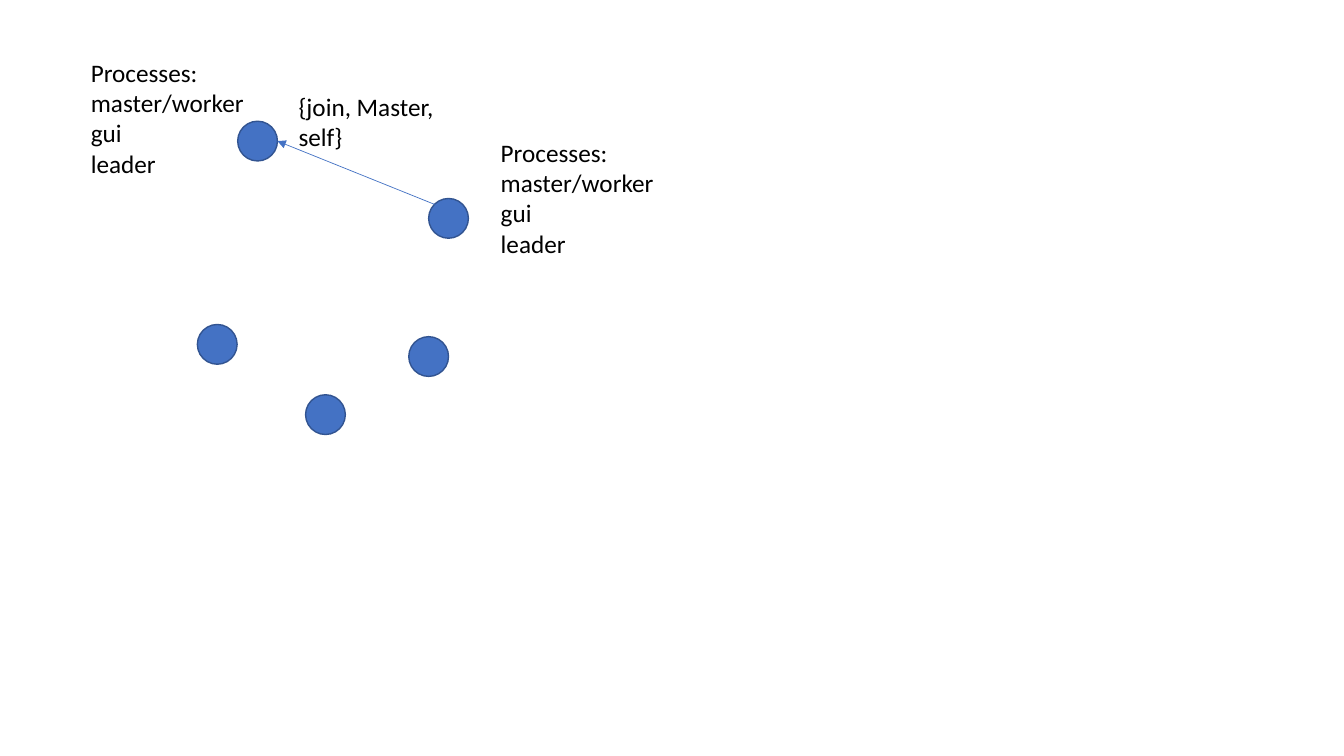
from dataclasses import dataclass
from math import sqrt

from lxml.etree import SubElement
from pptx import Presentation
from pptx.dml.color import RGBColor
from pptx.enum.shapes import MSO_CONNECTOR, MSO_SHAPE
from pptx.enum.text import MSO_AUTO_SIZE
from pptx.oxml.ns import qn
from pptx.slide import Slide
from pptx.util import Pt


@dataclass(frozen=True)
class Theme:
    fill: RGBColor = RGBColor(0x44, 0x72, 0xC4)
    outline: RGBColor = RGBColor(0x32, 0x54, 0x91)
    text: RGBColor = RGBColor(0, 0, 0)
    font: str = "Calibri"
    size: float = 18
    node_line: float = 1
    arrow_line: float = 0.5


@dataclass(frozen=True)
class Node:
    left: float
    top: float
    size: float = 28.4

    @property
    def right_site(self) -> tuple[float, float]:
        return self.left + self.size, self.top + self.size / 2

    @property
    def top_left_site(self) -> tuple[float, float]:
        inset = self.size / 2 * (1 - 1 / sqrt(2))
        return self.left + inset, self.top + inset


@dataclass(frozen=True)
class Label:
    left: float
    top: float
    height: float
    lines: tuple[str, ...]
    width: float = 128.9


THEME = Theme()
MASTER = Node(169.8, 86.6)
JOINER = Node(306.2, 141.8)
NODES = (MASTER, Node(141, 231.8), Node(218.3, 282), Node(292, 240.5), JOINER)
PROCESSES = ("Processes:", "master/worker", "gui", "leader")
LABELS = (
    Label(57.8, 37.3, 94.5, PROCESSES),
    Label(350.6, 94.5, 94.5, PROCESSES),
    Label(206.2, 61.4, 50.9, ("{join, Master, self}",)),
)


def add_node(s: Slide, node: Node) -> None:
    sp = s.shapes.add_shape(
        MSO_SHAPE.FLOWCHART_CONNECTOR,
        Pt(node.left), Pt(node.top), Pt(node.size), Pt(node.size),
    )
    sp.shadow.inherit = False
    sp.fill.solid()
    sp.fill.fore_color.rgb = THEME.fill
    sp.line.color.rgb = THEME.outline
    sp.line.width = Pt(THEME.node_line)


def add_arrow(s: Slide, start: Node, end: Node) -> None:
    points = (Pt(v) for v in start.top_left_site + end.right_site)
    sp = s.shapes.add_connector(MSO_CONNECTOR.STRAIGHT, *points)
    sp.line.color.rgb = THEME.fill
    sp.line.width = Pt(THEME.arrow_line)
    SubElement(sp.line._get_or_add_ln(), qn("a:tailEnd"), type="triangle")
    SubElement(sp._element.spPr, qn("a:effectLst"))


def add_label(s: Slide, label: Label) -> None:
    sp = s.shapes.add_textbox(
        Pt(label.left), Pt(label.top), Pt(label.width), Pt(label.height)
    )
    tf = sp.text_frame
    for name, value in {
        "word_wrap": True,
        "auto_size": MSO_AUTO_SIZE.SHAPE_TO_FIT_TEXT,
        "text": "\n".join(label.lines),
    }.items():
        setattr(tf, name, value)
    for p in tf.paragraphs:
        for r in p.runs:
            for name, value in {"name": THEME.font, "size": Pt(THEME.size)}.items():
                setattr(r.font, name, value)
            r.font.color.rgb = THEME.text


def main() -> None:
    prs = Presentation()
    prs.slide_width, prs.slide_height = Pt(960), Pt(540)
    s = prs.slides.add_slide(prs.slide_layouts[6])
    for node in NODES:
        add_node(s, node)
    add_arrow(s, JOINER, MASTER)
    for label in LABELS:
        add_label(s, label)
    prs.save("out.pptx")


main()
